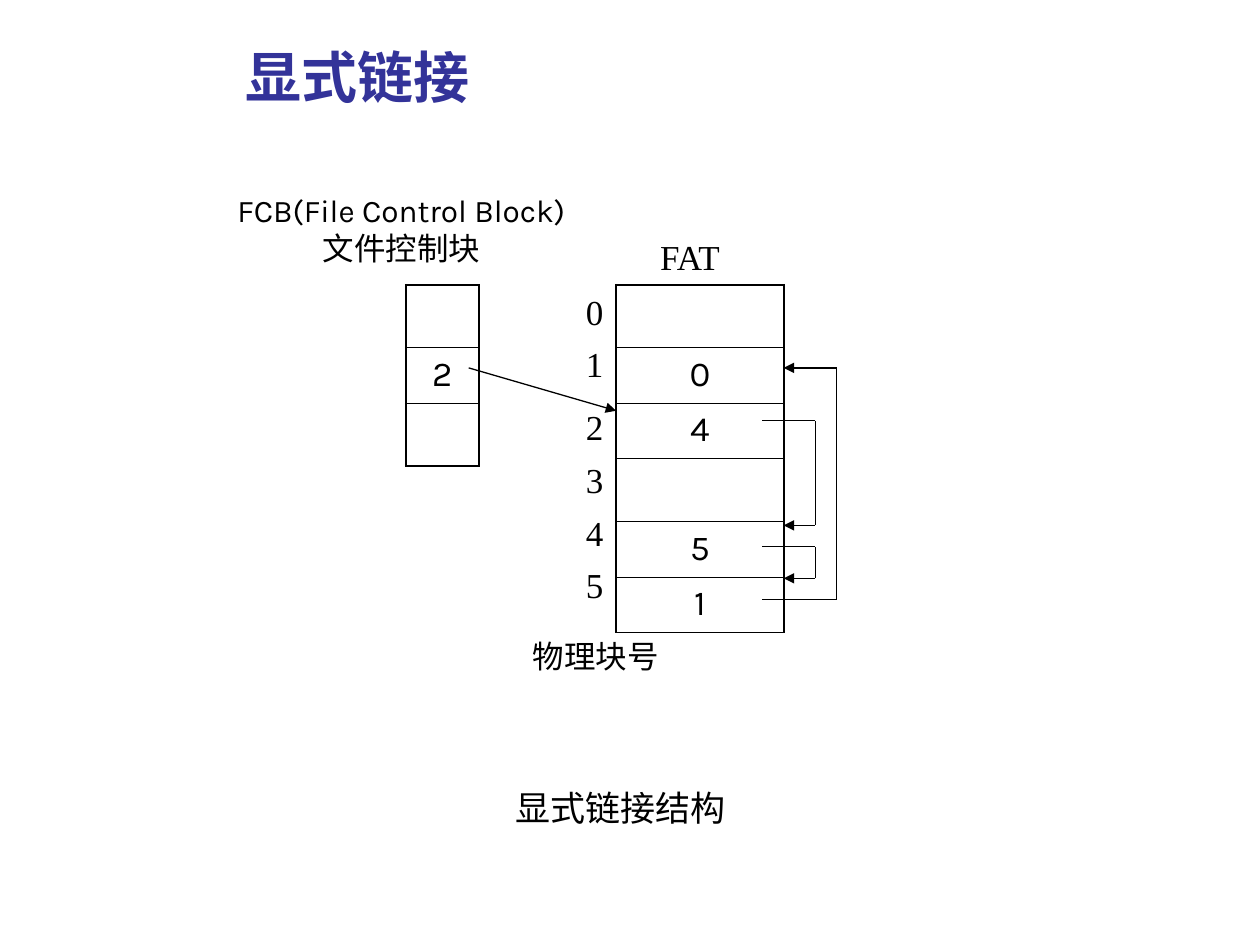
from itertools import pairwise
from lxml.etree import SubElement
from pptx import Presentation
from pptx.dml.color import RGBColor
from pptx.enum.shapes import MSO_CONNECTOR as Conn
from pptx.enum.text import MSO_ANCHOR as Anchor, MSO_AUTO_SIZE as AutoSize, PP_ALIGN as Align
from pptx.oxml.ns import qn
from pptx.util import Inches, Pt

COLORS = {"title": "333399", "ink": "000000"}
SERIF, SANS, CJK = "Times New Roman", "Karla", "Noto Sans CJK SC"

TITLE = "显式链接"
FCB = ["", "2", ""]
FAT = ["", "0", "4", "", "5", "1"]
TABLES = [(3.22, 0.58, FCB), (4.89, 1.33, FAT)]
TABLE_TOP, EMPTY_ROW, FILLED_ROW = 2.26, 0.5, 0.44
INDEX_TOPS = [2.26, 2.67, 3.17, 3.59, 4.01, 4.42]

LABELS = [
    ("FCB(File Control Block)\n文件控制块", (1.69, 1.47, 2.99, 0.7), 18, SANS, Align.CENTER),
    ("FAT", (5.14, 1.82, 0.92, 0.44), 20, SERIF, Align.LEFT),
    ("物理块号", (4.13, 5.01, 1.26, 0.4), 18, SERIF, Align.LEFT),
    ("显式链接结构", (2.88, 6.19, 4.09, 0.44), 20, CJK, Align.CENTER),
]

FAT_EDGE, LINK_START = 6.22, 6.05
LINKS = [(3.34, 4.17, 6.47), (4.34, 4.59, 6.47), (4.76, 2.92, 6.64)]
FCB_LINK = [(3.72, 2.92), (4.89, 3.26)]


def format_text(tf, size, font, align, color="ink", bold=False):
    for p in tf.paragraphs:
        p.alignment = align
        for r in p.runs:
            r.font.size = Pt(size)
            r.font.name = font
            r.font.bold = bold
            r.font.color.rgb = RGBColor.from_string(COLORS[color])
            SubElement(r._r.get_or_add_rPr(), qn("a:ea"), typeface=CJK)


def add_label(s, text, box, size, font, align):
    tf = s.shapes.add_textbox(*map(Inches, box)).text_frame
    tf.word_wrap = True
    tf.text = text
    format_text(tf, size, font, align)


def set_borders(cell, first, last):
    tcPr = cell._tc.get_or_add_tcPr()
    widths = {"L": 1.08, "R": 1.08, "T": 1.08 if first else 0.45, "B": 1.08 if last else 0.45}
    for side, width in widths.items():
        ln = SubElement(tcPr, qn(f"a:ln{side}"), w=str(Pt(width)))
        fill = SubElement(ln, qn("a:solidFill"))
        SubElement(fill, qn("a:srgbClr"), val=COLORS["ink"])


def add_blocks(s, left, width, values):
    heights = [FILLED_ROW if v else EMPTY_ROW for v in values]
    box = (left, TABLE_TOP, width, sum(heights))
    table = s.shapes.add_table(len(values), 1, *map(Inches, box)).table
    table.first_row = table.horz_banding = False
    for i, (value, height) in enumerate(zip(values, heights)):
        table.rows[i].height = Inches(height)
        cell = table.cell(i, 0)
        set_borders(cell, i == 0, i == len(values) - 1)
        cell.fill.background()
        cell.text = value
        format_text(cell.text_frame, 20, SANS, Align.CENTER)


def add_path(s, points):
    for start, end in pairwise(points):
        line = s.shapes.add_connector(Conn.STRAIGHT, *map(Inches, start + end))
        line.line.width = Pt(0.75)
        line.line.color.rgb = RGBColor.from_string(COLORS["ink"])
        SubElement(line._element.spPr, qn("a:effectLst"))
    SubElement(line.line._get_or_add_ln(), qn("a:tailEnd"), type="triangle")


def main():
    prs = Presentation()
    prs.slide_width, prs.slide_height = Inches(10), Inches(7.5)
    s = prs.slides.add_slide(prs.slide_layouts[5])

    title = s.shapes.title
    title.left, title.top, title.width, title.height = map(Inches, (1.85, 0.29, 2.36, 0.71))
    tf = title.text_frame
    tf.text = TITLE
    tf.auto_size = AutoSize.NONE
    tf.vertical_anchor = Anchor.TOP
    format_text(tf, 32, CJK, Align.LEFT, "title", True)

    for left, width, values in TABLES:
        add_blocks(s, left, width, values)
    for i, top in enumerate(INDEX_TOPS):
        add_label(s, str(i), (4.47, top, 0.5, 0.44), 20, SERIF, Align.CENTER)
    for label in LABELS:
        add_label(s, *label)
    for start, end, x in LINKS:
        add_path(s, [(LINK_START, start), (x, start), (x, end), (FAT_EDGE, end)])
    add_path(s, FCB_LINK)

    prs.save("out.pptx")


if __name__ == "__main__":
    main()
